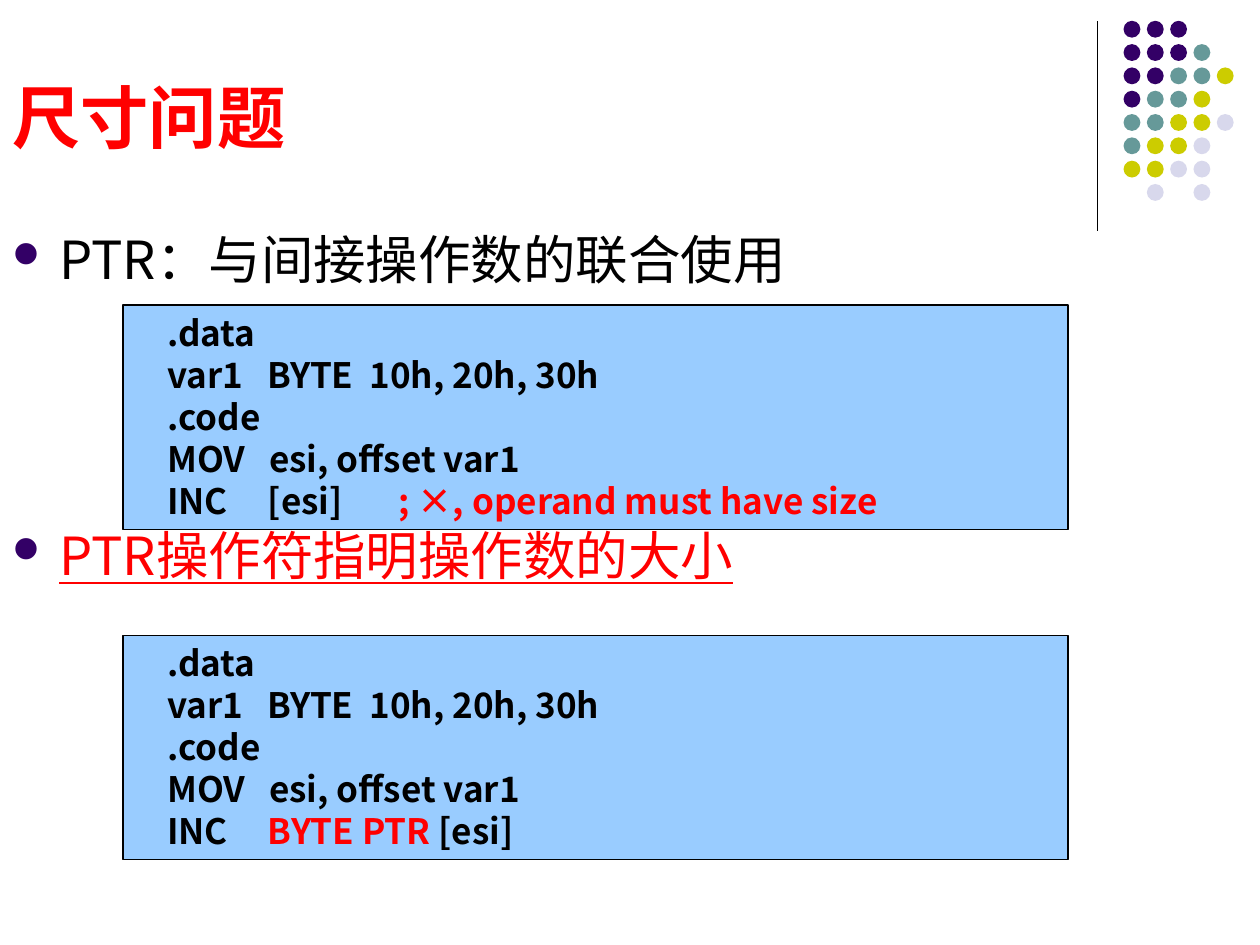
from lxml import etree
from pptx import Presentation
from pptx import util as u
from pptx.dml.color import RGBColor
from pptx.enum import shapes, text
from pptx.oxml.ns import qn

# Content
FONT = "Noto Sans CJK SC"
BLACK, RED, PURPLE = "000000", "FF0000", "330066"
TITLE = "尺寸问题"
BULLETS = [  # text, space before in points, format
    ("PTR：与间接操作数的联合使用", 0, dict(color=BLACK)),
    ("PTR操作符指明操作数的大小", 133, dict(color=RED, underline=True)),
]
SETUP = [
    [("    .data", BLACK)],
    [("    var1   BYTE  10h, 20h, 30h", BLACK)],
    [("    .code", BLACK)],
    [("    MOV   esi, offset var1", BLACK)],
]
CODE_BOXES = [  # top in cm, lines of (text, color) pieces
    (6.15, SETUP + [[("    INC     [esi]       ", BLACK),
                     ("; ×, operand must have size", RED)]]),
    (12.81, SETUP + [[("    INC     ", BLACK), ("BYTE PTR ", RED),
                      ("[esi]", BLACK)]]),
]
DOT_COLORS = {"P": PURPLE, "T": "669999", "Y": "CCCC00", "L": "D8D8EC"}
DOT_ROWS = ["PPP", "PPPT", "PPTTY", "PTTY", "TTYYL", "TYYL", "YYLL", " L L"]


def rgb(value):
    return RGBColor.from_string(value)


def add_text(paragraph, content, size, color, bold=False, underline=False):
    run = paragraph.add_run()
    run.text = content
    font = run.font
    font.size, font.name, font.bold = u.Pt(size), FONT, bold
    font.underline = underline
    font.color.rgb = rgb(color)
    east_asian = etree.SubElement(run._r.get_or_add_rPr(), qn("a:ea"))
    east_asian.set("typeface", FONT)


def add_bullet(paragraph, indent):
    properties = paragraph._p.get_or_add_pPr()
    properties.set("marL", str(indent))
    properties.set("indent", str(-indent))
    color = etree.SubElement(properties, qn("a:buClr"))
    etree.SubElement(color, qn("a:srgbClr")).set("val", PURPLE)
    etree.SubElement(properties, qn("a:buSzPct")).set("val", "70000")
    # In Wingdings the letter l is a round dot
    bullet_font = etree.SubElement(properties, qn("a:buFont"))
    bullet_font.set("typeface", "Wingdings")
    bullet_font.set("pitchFamily", "2")
    bullet_font.set("charset", "2")
    etree.SubElement(properties, qn("a:buChar")).set("char", "l")


def add_box(slide, left, top, width, height, anchor):
    box = slide.shapes.add_textbox(u.Cm(left), u.Cm(top), u.Cm(width), u.Cm(height))
    box.text_frame.word_wrap = True
    box.text_frame.vertical_anchor = anchor
    return box


def paragraphs_for(frame, items):
    for index, item in enumerate(items):
        yield (frame.add_paragraph() if index else frame.paragraphs[0]), item


presentation = Presentation()
presentation.slide_width, presentation.slide_height = u.Cm(25.4), u.Cm(19.05)
slide = presentation.slides.add_slide(presentation.slide_layouts[6])

# Corner ornament: vertical rule and dot grid
rule = slide.shapes.add_connector(shapes.MSO_CONNECTOR.STRAIGHT, u.Cm(22.12),
                                  u.Cm(0.43), u.Cm(22.12), u.Cm(4.65))
rule.line.color.rgb = rgb(BLACK)
rule.line.width = u.Pt(0.75)
etree.SubElement(rule._element.spPr, qn("a:effectLst"))

DOT_LEFT, DOT_TOP, DOT_PITCH, DOT_SIZE = 22.65, 0.42, 0.47, 0.34
for row, pattern in enumerate(DOT_ROWS):
    for column, key in enumerate(pattern):
        if key in DOT_COLORS:
            dot = slide.shapes.add_shape(
                shapes.MSO_SHAPE.OVAL, u.Cm(DOT_LEFT + column * DOT_PITCH),
                u.Cm(DOT_TOP + row * DOT_PITCH), u.Cm(DOT_SIZE), u.Cm(DOT_SIZE))
            dot.shadow.inherit = False
            dot.fill.solid()
            dot.fill.fore_color.rgb = rgb(DOT_COLORS[key])
            dot.line.fill.background()

# Title
title = add_box(slide, 0, 0.76, 22.86, 3.18, text.MSO_ANCHOR.MIDDLE)
add_text(title.text_frame.paragraphs[0], TITLE, 39, RED, bold=True)

# Bullets, spaced to leave room for the first code box
body = add_box(slide, 0, 4.45, 22.86, 12.57, text.MSO_ANCHOR.TOP)
for paragraph, (content, space, style) in paragraphs_for(body.text_frame, BULLETS):
    paragraph.space_before = u.Pt(space)
    add_bullet(paragraph, u.Cm(0.95))
    add_text(paragraph, content, 30, **style)

# Code boxes
for top, lines in CODE_BOXES:
    box = slide.shapes.add_shape(shapes.MSO_SHAPE.RECTANGLE, u.Cm(2.48),
                                 u.Cm(top), u.Cm(19.05), u.Cm(4.52))
    box.shadow.inherit = False
    box.fill.solid()
    box.fill.fore_color.rgb = rgb("99CCFF")
    box.line.color.rgb = rgb(BLACK)
    box.line.width = u.Pt(0.75)
    frame = box.text_frame
    frame.word_wrap = True
    frame.vertical_anchor = text.MSO_ANCHOR.TOP
    for paragraph, pieces in paragraphs_for(frame, lines):
        paragraph.alignment = text.PP_ALIGN.LEFT
        paragraph.line_spacing = u.Pt(24)
        for content, color in pieces:
            add_text(paragraph, content, 20, color, bold=True)

presentation.save("out.pptx")
